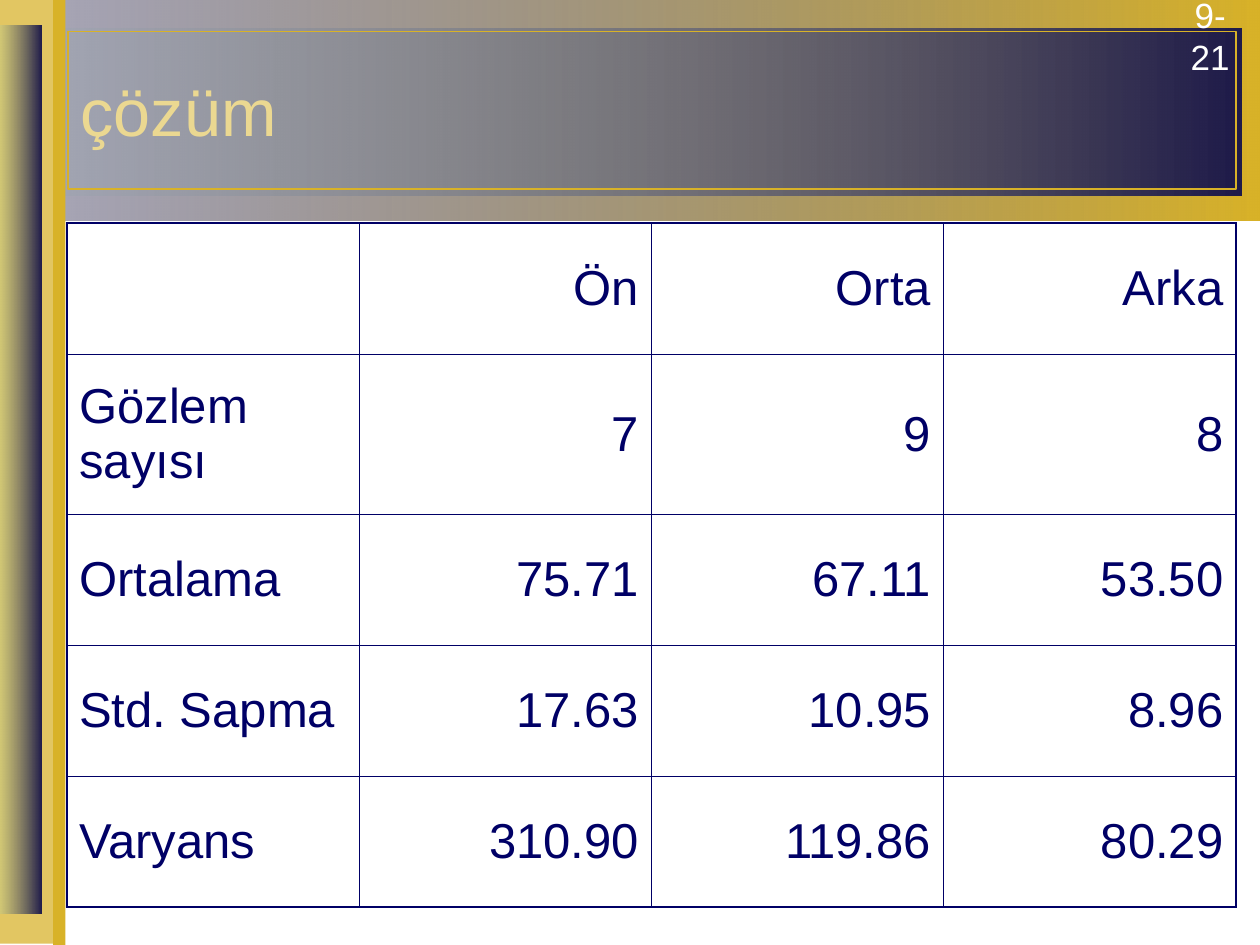
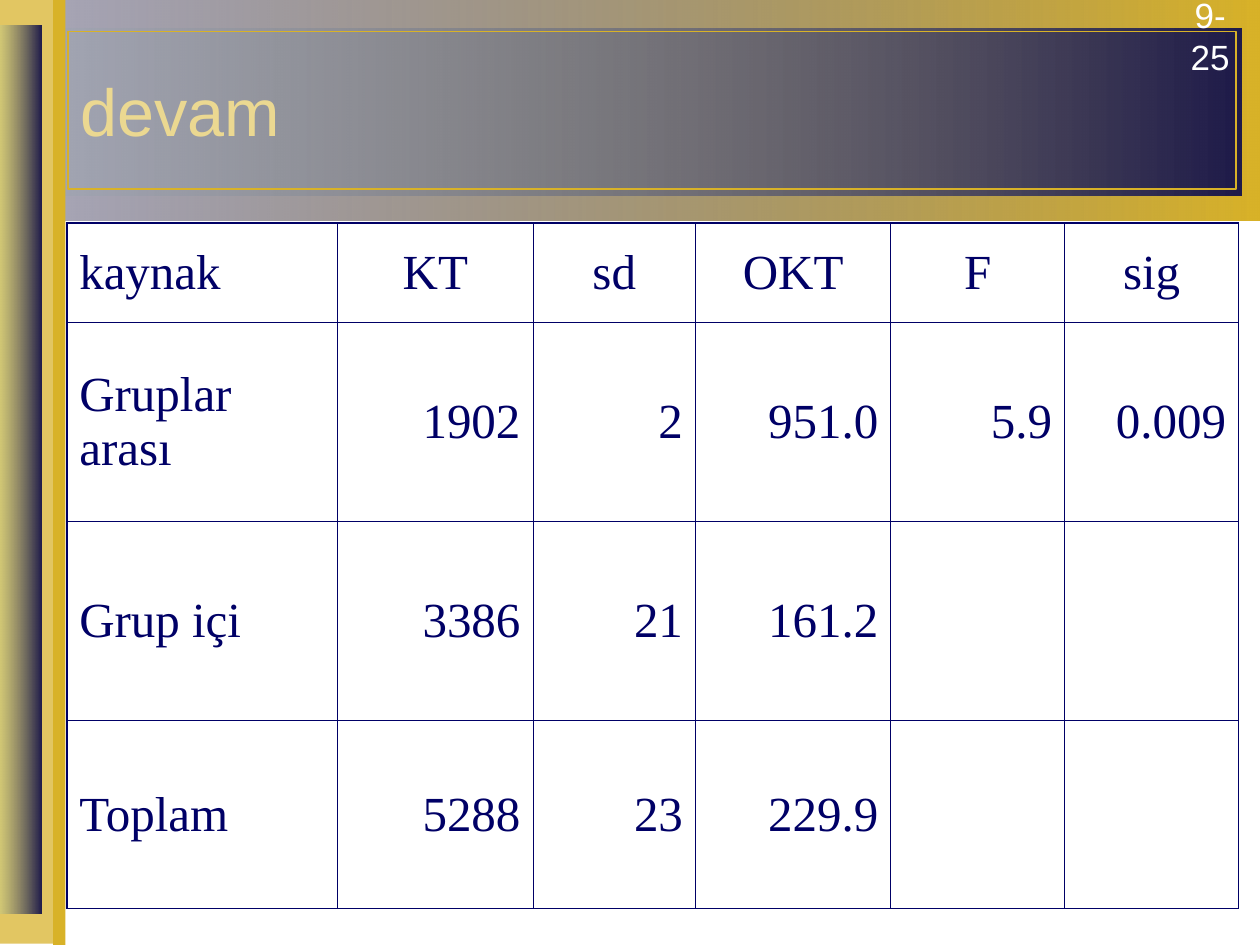
from dataclasses import dataclass
from lxml.etree import SubElement
from pptx import Presentation
from pptx.dml.color import RGBColor
from pptx.enum.shapes import MSO_SHAPE
from pptx.enum.text import MSO_ANCHOR, MSO_AUTO_SIZE, PP_ALIGN
from pptx.oxml import parse_xml
from pptx.oxml.ns import nsdecls, qn
from pptx.util import Inches, Pt


@dataclass(frozen=True)
class Theme:
    gold: str = "D8B228"
    navy: str = "1E1B4B"
    steel: str = "98A6AE"
    olive: str = "CDCB7F"
    cream: str = "EBD891"
    ink: str = "000066"
    white: str = "FFFFFF"
    sans: str = "Arial"
    serif: str = "Times New Roman"
    head: float = 38
    body: float = 28
    page: float = 20
    thin: float = 0.45
    thick: float = 1.08


T = Theme()
LEFT, RIGHT, MID = PP_ALIGN.LEFT, PP_ALIGN.RIGHT, PP_ALIGN.CENTER

SLIDES = [
    dict(title="çözüm", page="9-21", font=T.sans, top=RIGHT,
         cols=[2.32] * 4, rows=[1.04, 1.27, 1.04, 1.04, 1.04],
         cells=[
             ["", "Ön", "Orta", "Arka"],
             ["Gözlem sayısı", "7", "9", "8"],
             ["Ortalama", "75.71", "67.11", "53.50"],
             ["Std. Sapma", "17.63", "10.95", "8.96"],
             ["Varyans", "310.90", "119.86", "80.29"],
         ]),
    dict(title="devam", page="9-25", font=T.serif, top=MID,
         cols=[2.15, 1.55, 1.29, 1.55, 1.38, 1.38], rows=[0.79, 1.58, 1.58, 1.49],
         cells=[
             ["kaynak", "KT", "sd", "OKT", "F", "sig"],
             ["Gruplar arası", "1902", "2", "951.0", "5.9", "0.009"],
             ["Grup içi", "3386", "21", "161.2", "", ""],
             ["Toplam", "5288", "23", "229.9", "", ""],
         ]),
]

# Box, then one (colour, opacity %) for a solid or two for a gradient
BANDS = [
    ((0, 0, 10, 1.75), [(T.navy, 38), (T.gold, 100)]),
    ((0.42, 0.23, 9.43, 1.32), [(T.steel, 29), (T.navy, 100)]),
    ((0, 0, 0.52, 7.5), [(T.gold, 100)]),
    ((0, 0, 0.42, 7.5), [(T.white, 100)]),
    ((0, 0, 0.42, 7.49), [(T.gold, 73)]),
    ((0, 0.2, 0.33, 7.05), [(T.olive, 68), (T.navy, 100)]),
]
TITLE = (0.54, 0.25, 9.27, 1.25)
PAGE = (9.23, -0.1, 0.75, 0.48)
GRID = (0.53, 1.77)


def rgb(code):
    return RGBColor.from_string(code)


def inch(box):
    return [Inches(v) for v in box]


def write(para, text, font, size, color, align):
    para.alignment = align
    run = para.add_run()
    run.text = text
    run.font.name, run.font.size = font, Pt(size)
    run.font.color.rgb = rgb(color)


def paint(fill, stops):
    if len(stops) == 1:
        fill.solid()
        fill.fore_color.rgb = rgb(stops[0][0])
    else:
        fill.gradient()
        fill.gradient_angle = 0
        for stop, (color, _) in zip(fill.gradient_stops, stops):
            stop.color.rgb = rgb(color)


def add_bands(slide):
    """Draw the bands, then move them to the layout that all slides share."""
    tree = slide.slide_layout.shapes.element
    for i, (box, stops) in enumerate(BANDS):
        band = slide.shapes.add_shape(MSO_SHAPE.RECTANGLE, *inch(box))
        band.shadow.inherit = False
        band.line.fill.background()
        paint(band.fill, stops)
        fills = band.element.spPr.iter(qn("a:srgbClr"))
        for clr, (_, solid) in zip(fills, stops):
            if solid < 100:
                SubElement(clr, qn("a:alpha")).set("val", str(solid * 1000))
        band.name = f"Band {i + 1}"
        next(band.element.iter(qn("p:cNvPr"))).set("id", str(100 + i))
        tree.insert(2 + i, band.element)


def add_title(slide, text):
    box = slide.shapes.title
    box.left, box.top, box.width, box.height = inch(TITLE)
    box.line.color.rgb = rgb(T.gold)
    box.line.width = Pt(0.75)
    frame = box.text_frame
    frame.auto_size = MSO_AUTO_SIZE.NONE
    frame.vertical_anchor = MSO_ANCHOR.MIDDLE
    write(frame.paragraphs[0], text, T.sans, T.head, T.cream, LEFT)


def add_page(slide, text):
    frame = slide.shapes.add_textbox(*inch(PAGE)).text_frame
    frame.word_wrap = True
    frame.auto_size = MSO_AUTO_SIZE.SHAPE_TO_FIT_TEXT
    write(frame.paragraphs[0], text, T.sans, T.page, T.white, MID)


def rule(cell, outer):
    """Border a cell; outer tells which of its L, R, T, B edges are thick."""
    props = cell._tc.get_or_add_tcPr()
    for i, (side, edge) in enumerate(zip("LRTB", outer)):
        width = Pt(T.thick if edge else T.thin)
        props.insert(i, parse_xml(
            f'<a:ln{side} {nsdecls("a")} w="{width}"><a:solidFill>'
            f'<a:srgbClr val="{T.ink}"/></a:solidFill></a:ln{side}>'))


def add_grid(slide, data):
    cols, rows = data["cols"], data["rows"]
    size = (sum(cols), sum(rows))
    grid = slide.shapes.add_table(len(rows), len(cols), *inch(GRID + size)).table
    grid.first_row = grid.horz_banding = False
    for col, width in zip(grid.columns, cols):
        col.width = Inches(width)
    for row, height in zip(grid.rows, rows):
        row.height = Inches(height)
    for r, line in enumerate(data["cells"]):
        for c, text in enumerate(line):
            cell = grid.cell(r, c)
            cell.vertical_anchor = MSO_ANCHOR.MIDDLE
            paint(cell.fill, [(T.white, 100)])
            rule(cell, (c == 0, c == len(cols) - 1, r == 0, r == len(rows) - 1))
            if text:
                para = cell.text_frame.paragraphs[0]
                para.space_before = Pt(7)
                align = LEFT if c == 0 else data["top"] if r == 0 else RIGHT
                write(para, text, data["font"], T.body, T.ink, align)


def main():
    deck = Presentation()
    deck.slide_width, deck.slide_height = Inches(10), Inches(7.5)
    for i, data in enumerate(SLIDES):
        slide = deck.slides.add_slide(deck.slide_layouts[5])
        if i == 0:
            add_bands(slide)
        add_title(slide, data["title"])
        add_page(slide, data["page"])
        add_grid(slide, data)
    deck.save("out.pptx")


if __name__ == "__main__":
    main()
